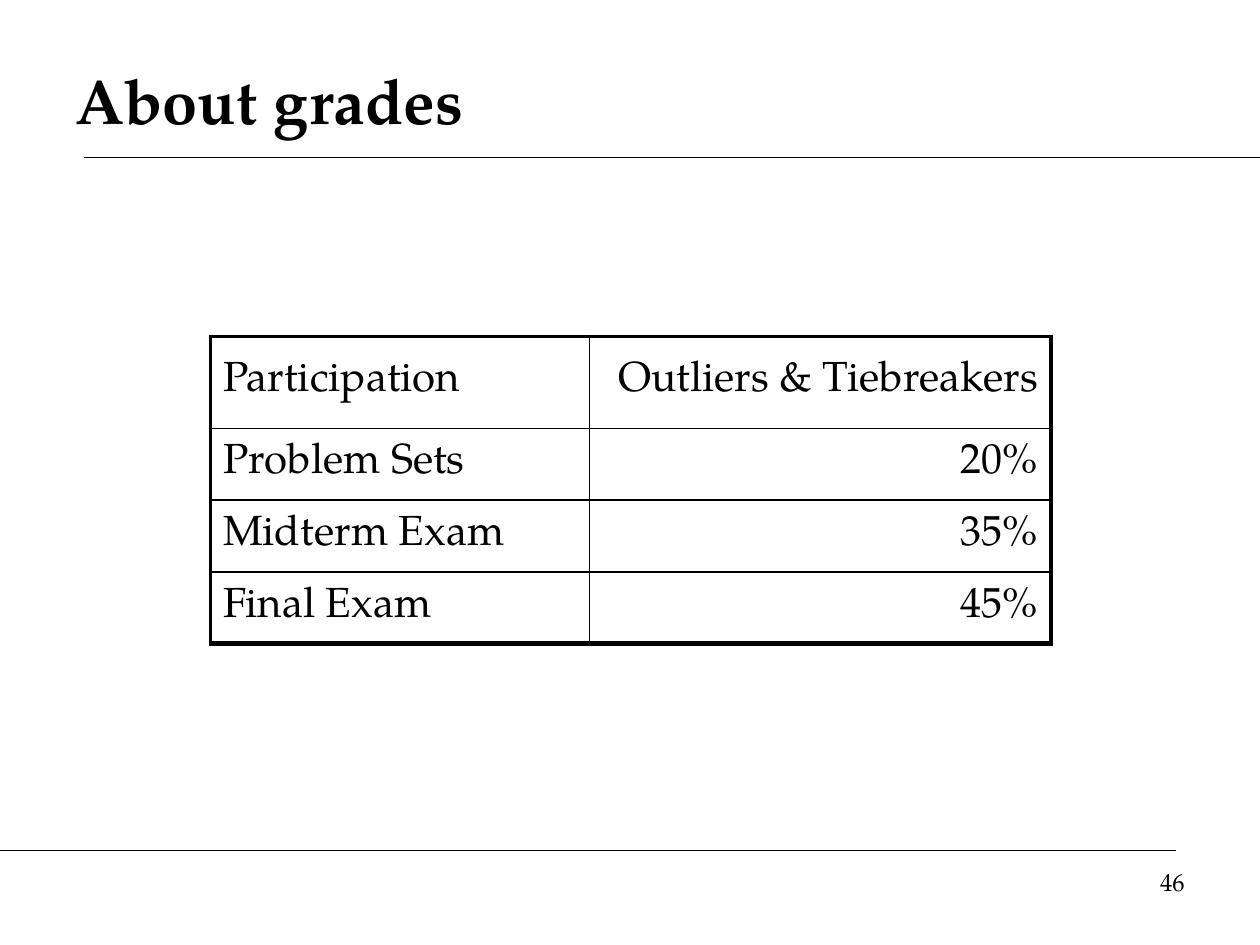
from lxml.etree import SubElement
from pptx import Presentation
from pptx.dml.color import RGBColor
from pptx.enum.shapes import MSO_CONNECTOR
from pptx.enum.text import MSO_ANCHOR, PP_ALIGN
from pptx.oxml.ns import qn
from pptx.util import Inches, Pt

BLACK = RGBColor(0x00, 0x00, 0x00)
FONT = "TeX Gyre Pagella"
GRADES = [
    ("Participation", "Outliers & Tiebreakers"),
    ("Problem Sets", "20%"),
    ("Midterm Exam", "35%"),
    ("Final Exam", "45%"),
]
COLUMN_WIDTHS = [3.01, 3.66]
ROW_HEIGHTS = [0.73, 0.57, 0.57, 0.57]
INNER, OUTER, BOTTOM = 1, 2.25, 3


class SlideBuilder:
    def __init__(self, slide):
        self.shapes = slide.shapes

    def add_span(self, para, text, align=PP_ALIGN.LEFT, **formats):
        para.alignment = align
        span = para.add_run()
        span.text = text
        span.font.color.rgb = BLACK
        for name, value in {"name": FONT, **formats}.items():
            setattr(span.font, name, value)

    def text(self, area, text, anchor=MSO_ANCHOR.TOP, **formats):
        box = self.shapes.add_textbox(*map(Inches, area))
        frame = box.text_frame
        frame.word_wrap = True
        frame.vertical_anchor = anchor
        self.add_span(frame.paragraphs[0], text, **formats)

    def rule(self, left, right, height):
        """Draw a thin horizontal line across the slide."""
        line = self.shapes.add_connector(
            MSO_CONNECTOR.STRAIGHT,
            Inches(left), Inches(height), Inches(right), Inches(height))
        line.line.color.rgb = BLACK
        line.line.width = Pt(0.75)
        SubElement(line._element.spPr, qn("a:effectLst"))

    def border(self, cell, widths):
        """Set cell borders from a dict of side letter to points."""
        properties = cell._tc.get_or_add_tcPr()
        for side, width in widths.items():
            line = SubElement(properties, qn(f"a:ln{side}"), w=str(Pt(width)))
            fill = SubElement(line, qn("a:solidFill"))
            SubElement(fill, qn("a:srgbClr"), val=str(BLACK))

    def table(self, left, top, rows, column_widths, row_heights):
        frame = self.shapes.add_table(
            len(rows), len(column_widths), Inches(left), Inches(top),
            Inches(sum(column_widths)), Inches(sum(row_heights)))
        table = frame.table
        table.first_row = table.horz_banding = False
        for column, width in zip(table.columns, column_widths):
            column.width = Inches(width)
        for row, height in zip(table.rows, row_heights):
            row.height = Inches(height)

        last_row, last_column = len(rows) - 1, len(column_widths) - 1
        for r, values in enumerate(rows):
            for c, value in enumerate(values):
                cell = table.cell(r, c)
                cell.vertical_anchor = MSO_ANCHOR.MIDDLE
                self.border(cell, {
                    "L": OUTER if c == 0 else INNER,
                    "R": OUTER if c == last_column else INNER,
                    "T": OUTER if r == 0 else INNER,
                    "B": BOTTOM if r == last_row else INNER,
                })
                cell.fill.background()
                align = PP_ALIGN.RIGHT if c == last_column else PP_ALIGN.LEFT
                self.add_span(cell.text_frame.paragraphs[0], value, align, size=Pt(24))


def main():
    deck = Presentation()
    deck.slide_width, deck.slide_height = Inches(10), Inches(7.5)
    page = SlideBuilder(deck.slides.add_slide(deck.slide_layouts[6]))
    page.rule(0.67, 10, 1.25)
    page.rule(0, 9.33, 6.75)
    page.text((0.5, 0.33, 9, 0.92), "About grades", MSO_ANCHOR.MIDDLE,
              size=Pt(36), bold=True)
    page.table(1.67, 2.67, GRADES, COLUMN_WIDTHS, ROW_HEIGHTS)
    page.text((7.17, 6.83, 2.33, 0.52), "46", align=PP_ALIGN.RIGHT, size=Pt(14))
    deck.save("out.pptx")


if __name__ == "__main__":
    main()
